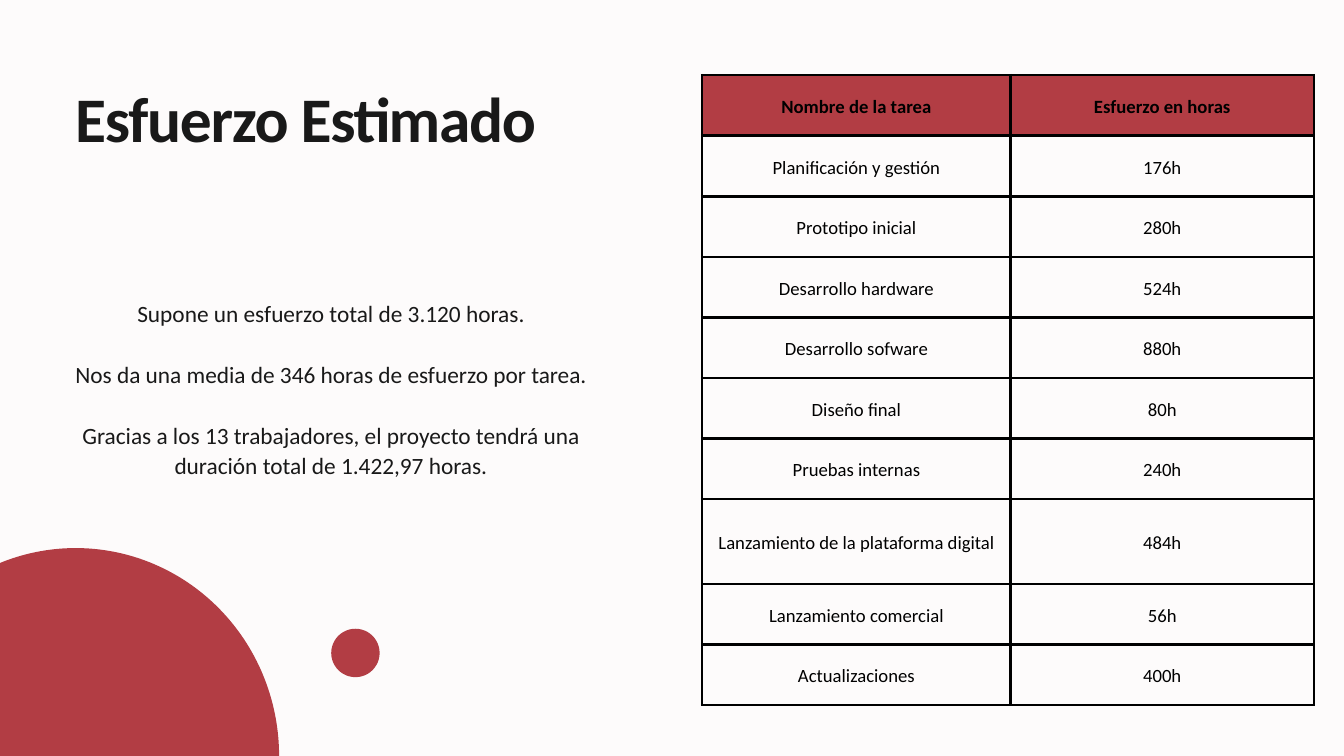
import pptx
import pptx.util
import pptx.dml.color
import pptx.enum.shapes
import pptx.enum.text
import pptx.oxml
import pptx.oxml.ns

Cm = pptx.util.Cm
Pt = pptx.util.Pt
RGBColor = pptx.dml.color.RGBColor
ALIGN = pptx.enum.text.PP_ALIGN

RED = RGBColor(0xB2, 0x3D, 0x44)
BLACK = RGBColor(0, 0, 0)
INK = RGBColor(0x19, 0x19, 0x19)
PAPER = RGBColor(0xFD, 0xFB, 0xFB)

TITLE = "Esfuerzo Estimado"
SUMMARY = [
    "Supone un esfuerzo total de 3.120 horas.",
    "Nos da una media de 346 horas de esfuerzo por tarea.",
    "Gracias a los 13 trabajadores, el proyecto tendrá una duración total de 1.422,97 horas.",
]
TASKS = [
    ("Nombre de la tarea", "Esfuerzo en horas"),
    ("Planificación y gestión", "176h"),
    ("Prototipo inicial", "280h"),
    ("Desarrollo hardware", "524h"),
    ("Desarrollo sofware", "880h"),
    ("Diseño final", "80h"),
    ("Pruebas internas", "240h"),
    ("Lanzamiento de la plataforma digital", "484h"),
    ("Lanzamiento comercial", "56h"),
    ("Actualizaciones", "400h"),
]
COLUMN_WIDTHS = (11.66, 11.46)
ROW_HEIGHT = 2.29
TALL_ROW, TALL_HEIGHT = 7, 3.2
CELL_MARGIN = 0.53
CIRCLES = [(-4.83, 20.72, 15.38, 15.72), (12.52, 23.77, 1.83, 1.83)]

TITLE_FONT = {"name": "Calibri", "size": Pt(68), "bold": True}
BODY_FONT = {"name": "Calibri", "size": Pt(25), "bold": False}
HEADER_FONT = {"name": "Calibri", "size": Pt(20), "bold": True}
CELL_FONT = {**HEADER_FONT, "bold": False}
TITLE_PARAGRAPH = {"alignment": ALIGN.LEFT, "line_spacing": Pt(95.2)}
BODY_PARAGRAPH = {"alignment": ALIGN.CENTER, "line_spacing": Pt(32.5)}
CELL_PARAGRAPH = {"alignment": ALIGN.CENTER, "line_spacing": Pt(28)}


def apply(target, values):
    for name, value in values.items():
        setattr(target, name, value)


def write(paragraph, text, paragraph_format, font_format, color):
    run = paragraph.add_run()
    run.text = text
    apply(paragraph, paragraph_format)
    apply(run.font, font_format)
    run.font.color.rgb = color
    return run


def margins(size):
    return {f"margin_{side}": Cm(size) for side in ("left", "top", "right", "bottom")}


def add_text_frame(slide, box):
    frame = slide.shapes.add_textbox(*map(Cm, box)).text_frame
    apply(frame, {"word_wrap": True, **margins(0)})
    return frame


def add_borders(cell):
    properties = cell._tc.get_or_add_tcPr()
    for index, side in enumerate("LRTB"):
        line = pptx.oxml.parse_xml(
            f'<a:ln{side} {pptx.oxml.ns.nsdecls("a")} w="{Pt(3)}">'
            f'<a:solidFill><a:srgbClr val="{BLACK}"/></a:solidFill></a:ln{side}>'
        )
        properties.insert(index, line)


def add_task_table(slide):
    heights = [TALL_HEIGHT if row == TALL_ROW else ROW_HEIGHT for row in range(len(TASKS))]
    table = slide.shapes.add_table(
        len(TASKS), len(COLUMN_WIDTHS), Cm(26.54), Cm(2.84),
        Cm(sum(COLUMN_WIDTHS)), Cm(sum(heights)),
    ).table
    apply(table, {"horz_banding": False})
    for column, width in zip(table.columns, COLUMN_WIDTHS):
        column.width = Cm(width)
    for row_index, (row, height, texts) in enumerate(zip(table.rows, heights, TASKS)):
        row.height = Cm(height)
        is_header = row_index == 0
        for cell, text in zip(row.cells, texts):
            apply(cell, {"vertical_anchor": pptx.enum.text.MSO_ANCHOR.MIDDLE, **margins(CELL_MARGIN)})
            if is_header:
                cell.fill.solid()
                cell.fill.fore_color.rgb = RED
            else:
                cell.fill.background()
            font_format = HEADER_FONT if is_header else CELL_FONT
            write(cell.text_frame.paragraphs[0], text, CELL_PARAGRAPH, font_format, BLACK)
            add_borders(cell)


def add_title(slide):
    frame = add_text_frame(slide, (2.84, 2.51, 26.11, 3.2))
    run = write(frame.paragraphs[0], TITLE, TITLE_PARAGRAPH, TITLE_FONT, INK)
    run.font._element.set("spc", "-140")


def add_summary(slide):
    frame = add_text_frame(slide, (2.84, 11.23, 19.33, 7.92))
    for index, text in enumerate(SUMMARY):
        paragraph = frame.add_paragraph() if index else frame.paragraphs[0]
        write(paragraph, text, BODY_PARAGRAPH, BODY_FONT, INK)
        if index:
            paragraph.space_before = BODY_PARAGRAPH["line_spacing"]


def add_circle(slide, box):
    circle = slide.shapes.add_shape(pptx.enum.shapes.MSO_SHAPE.OVAL, *map(Cm, box))
    circle.shadow.inherit = False
    circle.fill.solid()
    circle.fill.fore_color.rgb = RED
    circle.line.fill.background()


def main():
    presentation = pptx.Presentation()
    apply(presentation, {"slide_width": Cm(50.8), "slide_height": Cm(28.58)})
    slide = presentation.slides.add_slide(presentation.slide_layouts[6])
    slide.background.fill.solid()
    slide.background.fill.fore_color.rgb = PAPER
    add_task_table(slide)
    add_title(slide)
    for box in CIRCLES:
        add_circle(slide, box)
    add_summary(slide)
    presentation.save("out.pptx")


if __name__ == "__main__":
    main()
